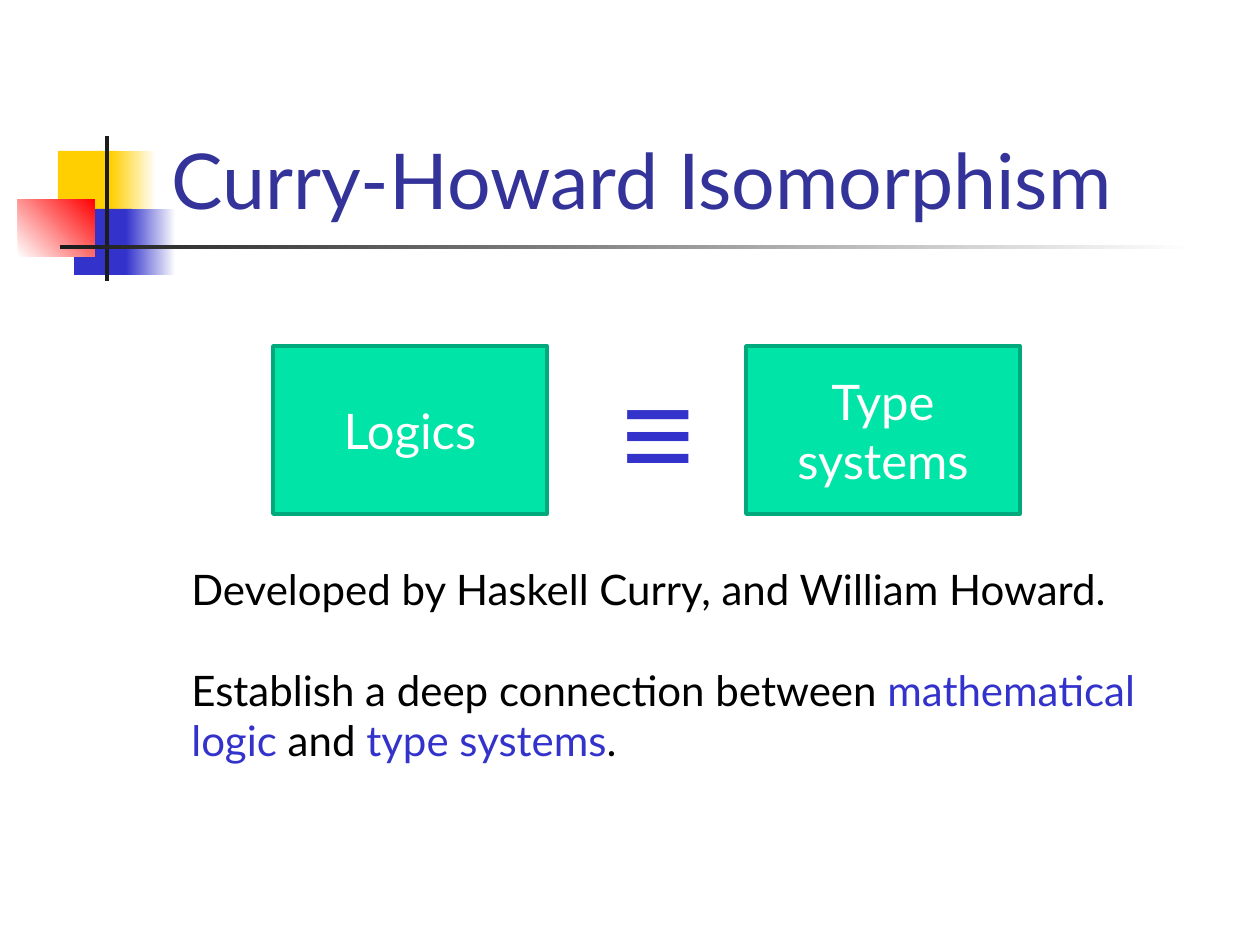
from pptx import Presentation
from pptx.dml.color import RGBColor
from pptx.enum.shapes import MSO_SHAPE
from pptx.enum.text import MSO_ANCHOR, MSO_AUTO_SIZE, PP_ALIGN
from pptx.util import Emu, Pt

RECT = MSO_SHAPE.RECTANGLE
MIDDLE, BOTTOM = MSO_ANCHOR.MIDDLE, MSO_ANCHOR.BOTTOM
LEFT, CENTER = PP_ALIGN.LEFT, PP_ALIGN.CENTER
FIXED, GROW = MSO_AUTO_SIZE.NONE, MSO_AUTO_SIZE.SHAPE_TO_FIT_TEXT
SCALE = 914400 / 126
SANS, MONO = "Lato", "Courier New"
COLORS = {
    "gold": "FFCF01", "blue": "3333CC", "red": "FF0000", "dark": "1C1C1C",
    "white": "FFFFFF", "black": "000000", "navy": "333399",
    "mint": "00E4A8", "edge": "00A97C",
}
DECOR = [
    ((58, 151, 60, 66), ["gold"], 0),
    ((111, 151, 45, 66), ["gold", "white"], 0),
    ((74, 209, 58, 66), ["blue"], 0),
    ((126, 209, 50, 66), ["blue", "white"], 0),
    ((18, 199, 77, 58), ["white", "red"], 45),
    ((105, 136, 4, 145), ["dark"], 0),
    ((60, 245, 1134, 4), ["dark", "white"], 0),
]
NOTES = [
    [("Developed by Haskell Curry, and William Howard.", "black")],
    [("Establish a deep connection between ", "black"),
     ("mathematical logic ", "blue"), ("and ", "black"),
     ("type systems", "blue"), (".", "black")],
]


def px(*sizes):
    """Turn pixel lengths into EMU."""
    return [Emu(round(size * SCALE)) for size in sizes]


def color(name):
    """Look up a named colour."""
    return RGBColor.from_string(COLORS[name])


def style(font, face, size, tint=None, bold=False):
    """Set the face, size, weight and colour of a font."""
    font.name, font.size, font.bold = face, Pt(size), bold
    if tint:
        font.color.rgb = color(tint)


def add_rect(slide, box, tints, angle=0):
    """Add a borderless rectangle with a plain or gradient fill."""
    shape = slide.shapes.add_shape(RECT, *px(*box))
    shape.shadow.inherit = False
    shape.line.fill.background()
    if len(tints) == 1:
        shape.fill.solid()
        shape.fill.fore_color.rgb = color(tints[0])
    else:
        shape.fill.gradient()
        shape.fill.gradient_angle = angle
        for stop, tint in zip(shape.fill.gradient_stops, tints):
            stop.color.rgb = color(tint)
    return shape


def add_card(slide, left, text):
    """Add a bordered box with a centred label."""
    card = add_rect(slide, (left, 346, 274, 168), ["mint"])
    card.line.color.rgb = color("edge")
    card.line.width = Pt(2)
    frame = card.text_frame
    frame.word_wrap = True
    frame.vertical_anchor = MIDDLE
    frame.text = text
    para = frame.paragraphs[0]
    para.alignment = CENTER
    style(para.font, SANS, 28, "white")


def set_title(slide, text):
    """Place the title above the decoration."""
    title = slide.shapes.title
    slide.shapes.element.append(title.element)
    title.left, title.top, title.width, title.height = px(159, 29, 1073, 202)
    frame = title.text_frame
    frame.text = text
    frame.auto_size = FIXED
    frame.vertical_anchor = BOTTOM
    para = frame.paragraphs[0]
    para.alignment = LEFT
    style(para.font, SANS, 44, "navy")


def add_sign(slide, text):
    """Add the large sign between the cards."""
    frame = slide.shapes.add_textbox(*px(608, 346, 102, 165)).text_frame
    frame.word_wrap = False
    frame.auto_size = GROW
    frame.text = text
    style(frame.paragraphs[0].font, MONO, 72, "blue", True)


def add_notes(slide, paras):
    """Add spaced paragraphs with coloured runs."""
    frame = slide.shapes.add_textbox(*px(179, 557, 1050, 217)).text_frame
    frame.word_wrap = True
    frame.auto_size = GROW
    for i, runs in enumerate(paras):
        para = frame.add_paragraph() if i else frame.paragraphs[0]
        if i:
            para.space_before = Pt(29)
        style(para.font, SANS, 24)
        for text, tint in runs:
            run = para.add_run()
            run.text = text
            run.font.color.rgb = color(tint)


def main():
    """Build and save the slide."""
    deck = Presentation()
    deck.slide_width, deck.slide_height = px(1260, 945)
    slide = deck.slides.add_slide(deck.slide_layouts[5])
    for box, tints, angle in DECOR:
        add_rect(slide, box, tints, angle)
    set_title(slide, "Curry-Howard Isomorphism")
    add_card(slide, 273, "Logics")
    add_card(slide, 746, "Type systems")
    add_sign(slide, "≡")
    add_notes(slide, NOTES)
    deck.save("out.pptx")


if __name__ == "__main__":
    main()
